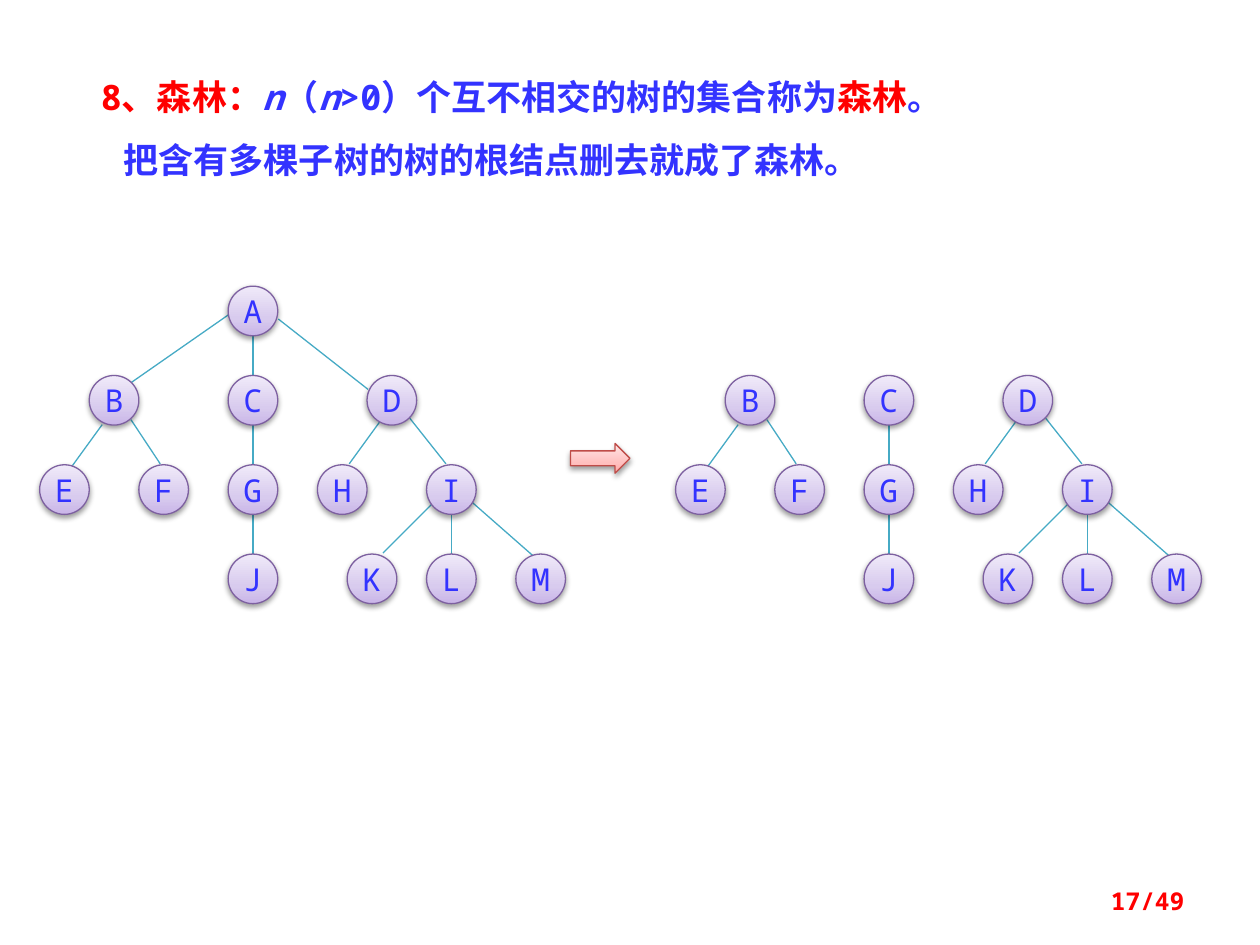
from dataclasses import dataclass

import pptx
import pptx.dml.color
import pptx.enum.shapes
import pptx.enum.text
import pptx.oxml.ns
import pptx.util
from lxml import etree
from pptx.util import Cm, Pt

SHAPE = pptx.enum.shapes.MSO_SHAPE
ALIGN = pptx.enum.text.PP_ALIGN
ANCHOR = pptx.enum.text.MSO_ANCHOR
qn = pptx.oxml.ns.qn


def rgb(value: str) -> pptx.dml.color.RGBColor:
    return pptx.dml.color.RGBColor.from_string(value)


@dataclass(frozen=True)
class Theme:
    font: str = "Noto Sans Mono"
    blue: str = "3333FF"
    red: str = "FF0000"
    edge: str = "46AAC5"
    node_line: str = "7D60A0"
    node_fill: tuple = ("C9B5E8", "D8CBEE", "F0EAF9")
    arrow_line: str = "BF4C48"
    arrow_fill: tuple = ("FFA6A5", "FFC0BF", "FFE7E7")
    stops: tuple = (0, 35, 100)
    heading: int = 20
    label: int = 18
    page: int = 14
    line: float = 0.75


@dataclass(frozen=True)
class Node:
    name: str
    x: float
    level: int

    @property
    def y(self) -> float:
        return TOP + self.level * LEVEL_GAP


@dataclass(frozen=True)
class Edge:
    """Slanted branch between two points, in cm."""
    parent: str
    x1: float
    y1: float
    x2: float
    y2: float


THEME = Theme()
DIAMETER, TOP, LEVEL_GAP = 1.0, 5.77, 1.8
FOREST_SHIFT = 12.82

NODES = [
    Node("A", 4.6, 0),
    Node("B", 1.8, 1), Node("C", 4.6, 1), Node("D", 7.4, 1),
    Node("E", 0.8, 2), Node("F", 2.8, 2), Node("G", 4.6, 2),
    Node("H", 6.4, 2), Node("I", 8.6, 2),
    Node("J", 4.6, 3), Node("K", 7.0, 3), Node("L", 8.6, 3), Node("M", 10.4, 3),
]
VERTICAL_EDGES = ["AC", "CG", "GJ", "IL"]
SLANTED_EDGES = [
    Edge("A", 4.6, 6.35, 2.59, 7.75), Edge("A", 5.61, 6.43, 7.42, 7.85),
    Edge("B", 2.06, 8.56, 1.45, 9.4), Edge("B", 2.64, 8.46, 3.23, 9.35),
    Edge("D", 7.65, 8.51, 7.04, 9.35), Edge("D", 8.26, 8.43, 8.99, 9.35),
    Edge("I", 8.71, 10.16, 7.72, 11.15), Edge("I", 9.5, 10.11, 10.74, 11.2),
]


def style_shape(sp, colors: tuple, line: str) -> None:
    """Three-stop upward gradient, thin outline and soft shadow below."""
    sp.line.color.rgb = rgb(line)
    sp.line.width = Pt(THEME.line)
    sp.fill.gradient()
    sp.fill.gradient_angle = 90
    stops = next(sp._element.iter(qn("a:gsLst")))
    for old in list(stops):
        stops.remove(old)
    for pos, color in zip(THEME.stops, colors):
        gs = etree.SubElement(stops, qn("a:gs"), pos=str(pos * 1000))
        etree.SubElement(gs, qn("a:srgbClr"), val=color)
    sp.shadow.inherit = False
    effects = sp._element.spPr.find(qn("a:effectLst"))
    shadow = etree.SubElement(effects, qn("a:outerShdw"), blurRad="40000",
                              dist="20000", dir="5400000", rotWithShape="0")
    color = etree.SubElement(shadow, qn("a:srgbClr"), val="000000")
    etree.SubElement(color, qn("a:alpha"), val="38000")


def set_font(font, size: int, color: str, bold: bool = False) -> None:
    font.name, font.size, font.bold = THEME.font, Pt(size), bold
    font.color.rgb = rgb(color)


def draw_node(s, node: Node, shift: float) -> None:
    sp = s.shapes.add_shape(SHAPE.OVAL, Cm(node.x + shift), Cm(node.y),
                            Cm(DIAMETER), Cm(DIAMETER))
    style_shape(sp, THEME.node_fill, THEME.node_line)
    tf = sp.text_frame
    tf.word_wrap = False
    tf.vertical_anchor = ANCHOR.MIDDLE
    p = tf.paragraphs[0]
    p.alignment = ALIGN.CENTER
    set_font(p.font, THEME.label, THEME.blue)
    p.add_run().text = node.name


def draw_edge(s, edge: Edge, shift: float) -> None:
    c = s.shapes.add_connector(pptx.enum.shapes.MSO_CONNECTOR.STRAIGHT,
                               Cm(edge.x1 + shift), Cm(edge.y1),
                               Cm(edge.x2 + shift), Cm(edge.y2))
    c.line.color.rgb = rgb(THEME.edge)
    c.line.width = Pt(THEME.line)
    etree.SubElement(c._element.spPr, qn("a:effectLst"))


def vertical_edge(parent: Node, child: Node) -> Edge:
    x = parent.x + DIAMETER / 2
    return Edge(parent.name, x, parent.y + DIAMETER, x, child.y)


def draw_tree(s, shift: float = 0, removed: str = "") -> None:
    """Draw the tree, leaving out the removed nodes and their branches."""
    by_name = {n.name: n for n in NODES}
    vertical = [vertical_edge(by_name[a], by_name[b]) for a, b in VERTICAL_EDGES]
    for edge in vertical + SLANTED_EDGES:
        if edge.parent not in removed:
            draw_edge(s, edge, shift)
    for node in NODES:
        if node.name not in removed:
            draw_node(s, node, shift)


def write_heading(s) -> None:
    title = s.shapes.title
    title.left, title.top, title.width, title.height = Cm(1.78), Cm(1.19), Cm(21.92), Cm(2.62)
    tf = title.text_frame
    tf.word_wrap = True
    tf.auto_size = pptx.enum.text.MSO_AUTO_SIZE.NONE
    tf.vertical_anchor = ANCHOR.TOP
    blue, red = THEME.blue, THEME.red
    lines = [
        [("8、森林：", red, False), ("n", blue, True), ("（", blue, False), ("n", blue, True),
         (">0）个互不相交的树的集合称为", blue, False), ("森林", red, False), ("。", blue, False)],
        [("把含有多棵子树的树的根结点删去就成了森林。", blue, False)],
    ]
    for i, runs in enumerate(lines):
        p = tf.add_paragraph() if i else tf.paragraphs[0]
        p.alignment = ALIGN.JUSTIFY
        p.line_spacing = Pt(30)
        p.space_before = Pt(6 if i else 0)
        if i:
            p._p.get_or_add_pPr().set("marL", str(Cm(0.46)))
        set_font(p.font, THEME.heading, blue, bold=True)
        for text, color, italic in runs:
            r = p.add_run()
            r.text = text
            r.font.color.rgb = rgb(color)
            r.font.italic = italic


def write_page_number(s) -> None:
    tf = s.shapes.add_textbox(Cm(18.21), Cm(17.65), Cm(5.92), Cm(1.02)).text_frame
    tf.word_wrap = True
    tf.vertical_anchor = ANCHOR.MIDDLE
    p = tf.paragraphs[0]
    p.alignment = ALIGN.RIGHT
    set_font(p.font, THEME.page, THEME.red, bold=True)
    p.add_run().text = "17/49"


def main() -> None:
    prs = pptx.Presentation()
    prs.slide_width, prs.slide_height = Cm(25.4), Cm(19.05)
    s = prs.slides.add_slide(prs.slide_layouts[5])
    write_heading(s)
    # Whole tree, arrow, then the forest left once the root is removed
    draw_tree(s)
    arrow = s.shapes.add_shape(SHAPE.RIGHT_ARROW, Cm(11.5), Cm(8.94), Cm(1.2), Cm(0.6))
    style_shape(arrow, THEME.arrow_fill, THEME.arrow_line)
    draw_tree(s, FOREST_SHIFT, removed="A")
    write_page_number(s)
    prs.save("out.pptx")


if __name__ == "__main__":
    main()
